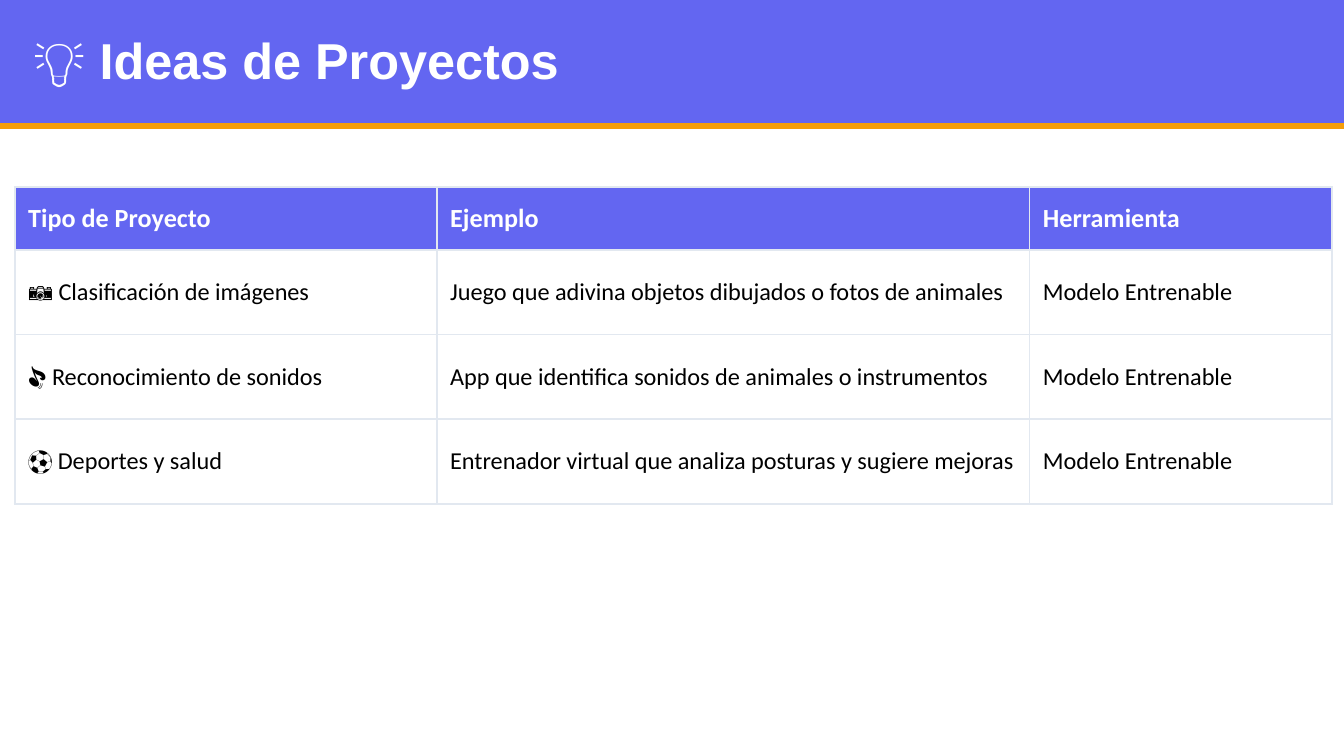
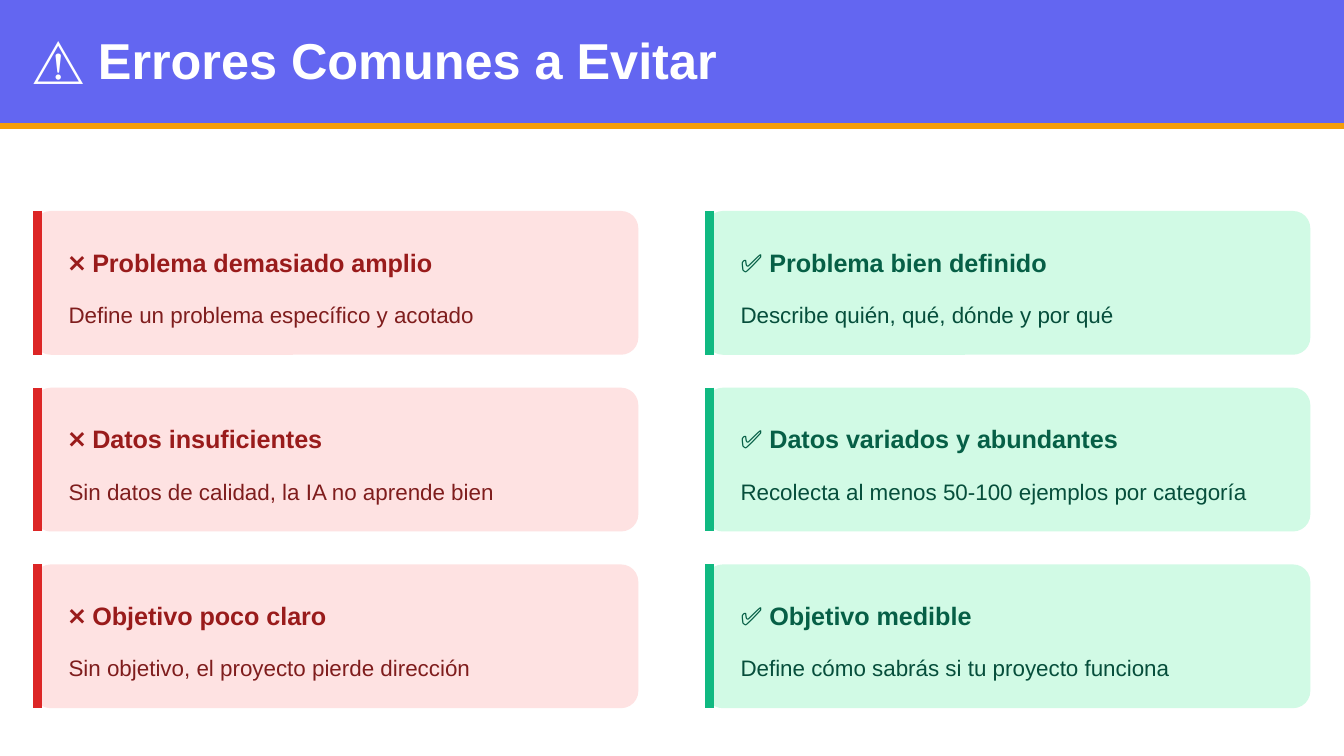
from dataclasses import dataclass

import lxml.etree
import pptx
import pptx.dml.color
import pptx.enum.shapes
import pptx.enum.text
import pptx.oxml.ns
import pptx.util
from pptx.util import Inches

Color = pptx.dml.color.RGBColor
qn = pptx.oxml.ns.qn


@dataclass(frozen=True)
class TextStyle:
    font: str
    size: float
    color: str
    bold: bool = False
    spacing: float | None = None


@dataclass(frozen=True)
class CardStyle:
    mark: str
    fill: str
    bar: str
    heading: TextStyle
    detail: TextStyle


@dataclass(frozen=True)
class Card:
    heading: str
    detail: str


@dataclass(frozen=True)
class Theme:
    band: str = "6366F1"
    rule: str = "F59E0B"
    grid: str = "E2E8F0"
    title: TextStyle = TextStyle("Arial", 27, "FFFFFF", True, 30)
    table_head: TextStyle = TextStyle("Calibri", 14, "FFFFFF", True)
    table_body: TextStyle = TextStyle("Calibri", 13, "000000")
    mistake: CardStyle = CardStyle(
        "❌", "FEE2E2", "DC2626",
        TextStyle("Arial", 13.5, "991B1B", True, 21),
        TextStyle("Arial", 12, "7F1D1D", False, 18),
    )
    advice: CardStyle = CardStyle(
        "✅", "D1FAE5", "10B981",
        TextStyle("Arial", 13.5, "065F46", True, 21),
        TextStyle("Arial", 12, "064E3B", False, 18),
    )


THEME = Theme()
SLIDE_WIDTH = Inches(10)
SLIDE_HEIGHT = SLIDE_WIDTH * 9 // 16
MARGIN = Inches(0.25)

TOOL = "Modelo Entrenable"
PROJECT_HEADINGS = ("Tipo de Proyecto", "Ejemplo", "Herramienta")
PROJECTS = (
    ("📷 Clasificación de imágenes", "Juego que adivina objetos dibujados o fotos de animales", TOOL),
    ("🎵 Reconocimiento de sonidos", "App que identifica sonidos de animales o instrumentos", TOOL),
    ("⚽ Deportes y salud", "Entrenador virtual que analiza posturas y sugiere mejoras", TOOL),
)
PROJECT_WIDTHS = (3.14, 4.41, 2.25)
HEAD_HEIGHT, BODY_HEIGHT = 0.47, 0.63

MISTAKES = (
    Card("Problema demasiado amplio", "Define un problema específico y acotado"),
    Card("Datos insuficientes", "Sin datos de calidad, la IA no aprende bien"),
    Card("Objetivo poco claro", "Sin objetivo, el proyecto pierde dirección"),
)
ADVICE = (
    Card("Problema bien definido", "Describe quién, qué, dónde y por qué"),
    Card("Datos variados y abundantes", "Recolecta al menos 50-100 ejemplos por categoría"),
    Card("Objetivo medible", "Define cómo sabrás si tu proyecto funciona"),
)
FIRST_CARD_TOP, LAST_CARD_TOP = Inches(1.57), Inches(4.2)
CARD_WIDTH, CARD_HEIGHT = Inches(4.5), Inches(1.07)
COLUMN_PITCH = Inches(5)
ROW_PITCH = (LAST_CARD_TOP - FIRST_CARD_TOP) // (len(MISTAKES) - 1)


def style_text(frame, text: str, style: TextStyle) -> None:
    frame.text = text
    paragraph = frame.paragraphs[0]
    if style.spacing:
        paragraph.line_spacing = pptx.util.Pt(style.spacing)
    font = paragraph.runs[0].font
    font.name = style.font
    font.size = pptx.util.Pt(style.size)
    font.bold = style.bold
    font.color.rgb = Color.from_string(style.color)


def add_text(slide, left: int, top: int, width: int, height: int, text: str, style: TextStyle) -> None:
    frame = slide.shapes.add_textbox(left, top, width, height).text_frame
    frame.margin_left = frame.margin_right = frame.margin_top = frame.margin_bottom = 0
    frame.word_wrap = True
    style_text(frame, text, style)


def add_panel(slide, preset, left: int, top: int, width: int, height: int, color: str):
    panel = slide.shapes.add_shape(preset, left, top, width, height)
    panel.shadow.inherit = False
    panel.fill.solid()
    panel.fill.fore_color.rgb = Color.from_string(color)
    panel.line.fill.background()
    return panel


def add_line(slide, x1: int, y1: int, x2: int, y2: int, color: str, weight: float) -> None:
    line = slide.shapes.add_connector(pptx.enum.shapes.MSO_CONNECTOR.STRAIGHT, x1, y1, x2, y2)
    line.line.color.rgb = Color.from_string(color)
    line.line.width = pptx.util.Pt(weight)
    lxml.etree.SubElement(line._element.spPr, qn("a:effectLst"))


def add_titled_slide(deck, title: str, title_width: float):
    slide = deck.slides.add_slide(deck.slide_layouts[6])
    rectangle = pptx.enum.shapes.MSO_SHAPE.RECTANGLE
    add_panel(slide, rectangle, 0, 0, SLIDE_WIDTH, Inches(0.96), THEME.band)
    rule_y = Inches(0.94)
    add_line(slide, 0, rule_y, SLIDE_WIDTH, rule_y, THEME.rule, 3)
    add_text(slide, MARGIN, MARGIN, Inches(title_width), Inches(0.42), title, THEME.title)
    return slide


def add_cell_borders(cell) -> None:
    properties = cell._tc.get_or_add_tcPr()
    for side in ("lnL", "lnR", "lnT", "lnB"):
        border = lxml.etree.SubElement(properties, qn(f"a:{side}"), w=str(pptx.util.Pt(1)))
        fill = lxml.etree.SubElement(border, qn("a:solidFill"))
        lxml.etree.SubElement(fill, qn("a:srgbClr"), val=THEME.grid)


def add_projects_table(slide) -> None:
    rows = (PROJECT_HEADINGS, *PROJECTS)
    heights = (HEAD_HEIGHT, *(BODY_HEIGHT for _ in PROJECTS))
    table = slide.shapes.add_table(
        len(rows), len(PROJECT_WIDTHS), Inches(0.11), Inches(1.39),
        Inches(sum(PROJECT_WIDTHS)), Inches(sum(heights)),
    ).table
    table.horz_banding = False
    for column, width in zip(table.columns, PROJECT_WIDTHS):
        column.width = Inches(width)
    for row_index, (texts, height) in enumerate(zip(rows, heights)):
        table.rows[row_index].height = Inches(height)
        is_head = row_index == 0
        for column_index, text in enumerate(texts):
            cell = table.cell(row_index, column_index)
            add_cell_borders(cell)
            if is_head:
                cell.fill.solid()
                cell.fill.fore_color.rgb = Color.from_string(THEME.band)
            else:
                cell.fill.background()
            cell.vertical_anchor = pptx.enum.text.MSO_ANCHOR.MIDDLE
            style_text(cell.text_frame, text, THEME.table_head if is_head else THEME.table_body)


def add_card(slide, left: int, top: int, card: Card, style: CardStyle) -> None:
    rounded = pptx.enum.shapes.MSO_SHAPE.ROUNDED_RECTANGLE
    panel = add_panel(slide, rounded, left, top, CARD_WIDTH, CARD_HEIGHT, style.fill)
    panel.adjustments[0] = 0.12
    bar_x = left + Inches(0.03)
    add_line(slide, bar_x, top, bar_x, top + CARD_HEIGHT, style.bar, 4.5)
    text_left, text_width = left + Inches(0.26), Inches(4.12)
    heading = f"{style.mark} {card.heading}"
    add_text(slide, text_left, top + Inches(0.2), text_width, Inches(0.29), heading, style.heading)
    add_text(slide, text_left, top + Inches(0.62), text_width, Inches(0.25), card.detail, style.detail)


def main() -> None:
    deck = pptx.Presentation()
    deck.slide_width, deck.slide_height = SLIDE_WIDTH, SLIDE_HEIGHT

    add_projects_table(add_titled_slide(deck, "💡 Ideas de Proyectos", 4.86))

    errors = add_titled_slide(deck, "⚠️ Errores Comunes a Evitar", 5.29)
    columns = ((MISTAKES, THEME.mistake), (ADVICE, THEME.advice))
    for column, (cards, style) in enumerate(columns):
        for row, card in enumerate(cards):
            add_card(errors, MARGIN + column * COLUMN_PITCH, FIRST_CARD_TOP + row * ROW_PITCH, card, style)

    deck.save("out.pptx")


if __name__ == "__main__":
    main()
